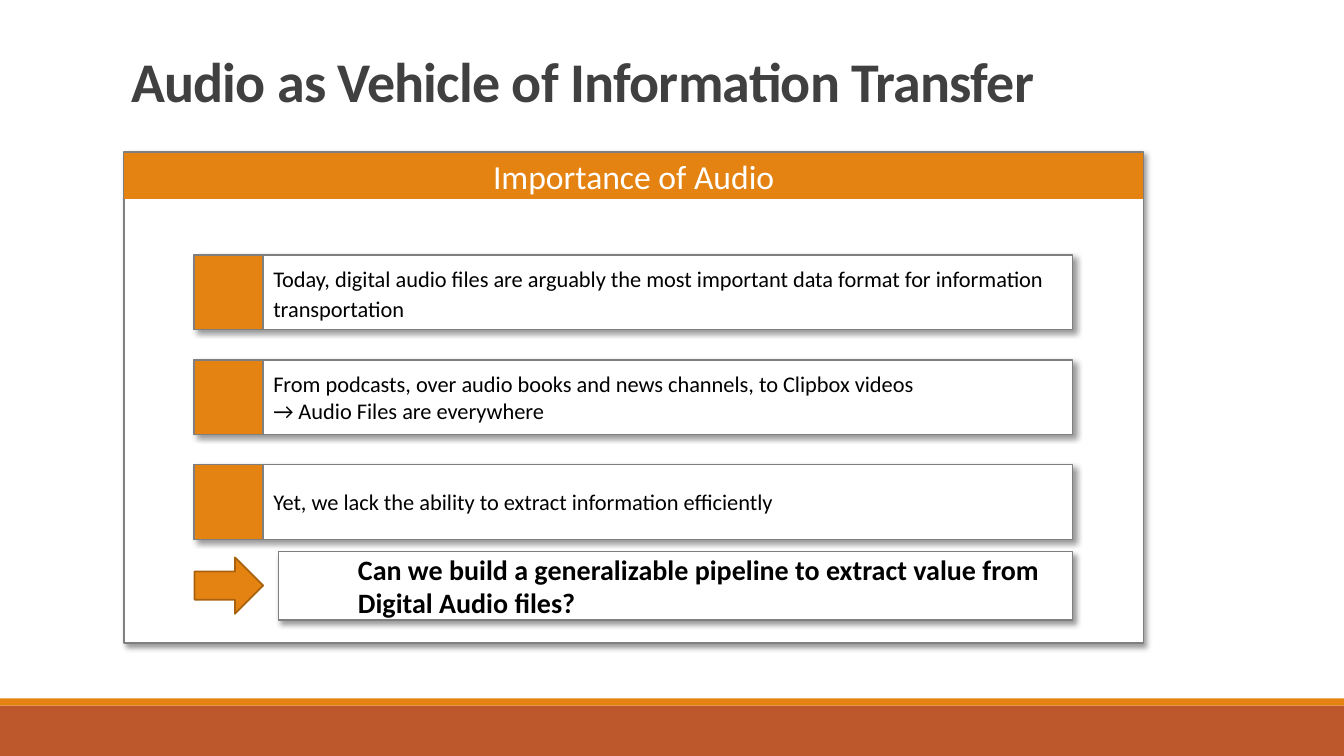
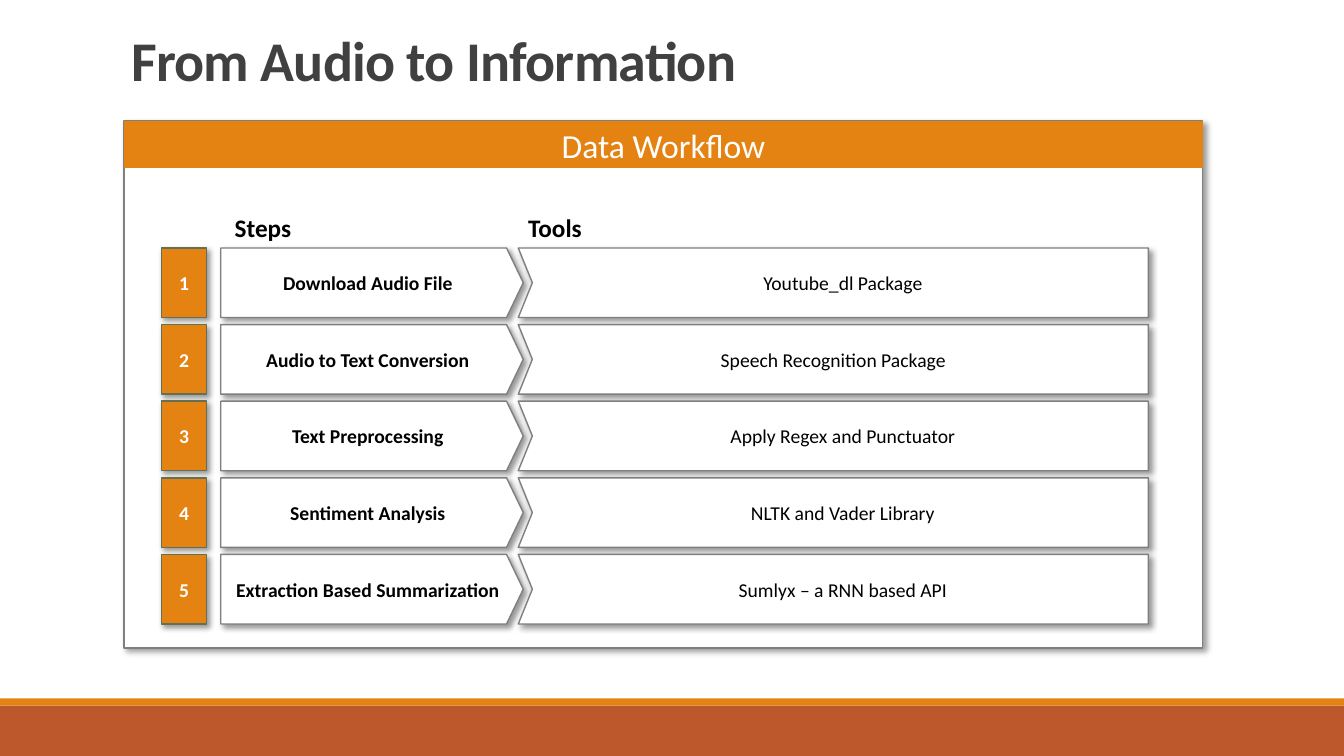
from dataclasses import dataclass

from lxml import etree
from pptx import Presentation, util as u
from pptx.dml.color import RGBColor
from pptx.enum import shapes, text
from pptx.oxml.ns import qn


@dataclass(frozen=True)
class Theme:
    font: str = "Calibri"
    rust: str = "BD582C"
    gold: str = "E48312"
    brown: str = "A9610D"
    moss: str = "637052"
    gray: str = "7F7F7F"
    dark: str = "404040"
    black: str = "000000"
    white: str = "FFFFFF"
    title: int = 40
    head: int = 24
    claim: int = 20
    label: int = 18
    body: int = 16
    small: int = 14


T = Theme()
KIND = shapes.MSO_SHAPE
MID = text.MSO_ANCHOR.MIDDLE
TOP = text.MSO_ANCHOR.TOP
LEFT = text.PP_ALIGN.LEFT
CENTER = text.PP_ALIGN.CENTER
WIDE, HIGH = 13.33, 7.5

POINTS = [
    ("Today, digital audio files are arguably the most important data format "
     "for information transportation", 1.1),
    ("From podcasts, over audio books and news channels, to Clipbox videos\n"
     "→ Audio Files are everywhere", 1),
    ("Yet, we lack the ability to extract information efficiently", 1),
]
CLAIM = "Can we build a generalizable pipeline to extract value from Digital Audio files?"
STEPS = [
    ("Download Audio File", "Youtube_dl Package", 0.19),
    ("Audio to Text Conversion", "Speech Recognition Package", 0),
    ("Text Preprocessing", "Apply Regex and Punctuator", 0.19),
    ("Sentiment Analysis", "NLTK and Vader Library", 0.19),
    ("Extraction Based Summarization", "Sumlyx – a RNN based API", 0.19),
]


def rgb(code):
    return RGBColor.from_string(code)


def write(shape, words, size=T.body, color=T.black, bold=False, align=LEFT,
          anchor=MID, pad=(0.1, 0.05, 0.1, 0.05), lead=1, indent=0, track=0):
    frame = shape.text_frame
    frame.word_wrap = True
    frame.auto_size = text.MSO_AUTO_SIZE.NONE
    frame.vertical_anchor = anchor
    (frame.margin_left, frame.margin_top,
     frame.margin_right, frame.margin_bottom) = map(u.Inches, pad)
    frame.text = words
    for para in frame.paragraphs:
        para.alignment = align
        para.line_spacing = lead
        if indent:
            para._p.get_or_add_pPr().set("marL", str(u.Inches(indent)))
        for run in para.runs:
            font = run.font
            font.name, font.size, font.bold = T.font, u.Pt(size), bold
            font.color.rgb = rgb(color)
            if track:
                run._r.get_or_add_rPr().set("spc", str(int(track * 100)))


def style(shape, fill, line=None, width=1, shade=False):
    shape.shadow.inherit = False
    shape.fill.solid()
    shape.fill.fore_color.rgb = rgb(fill)
    if line:
        shape.line.color.rgb = rgb(line)
        shape.line.width = u.Pt(width)
    else:
        shape.line.fill.background()
    if shade:
        fx = shape.element.spPr.find(qn("a:effectLst"))
        drop = etree.SubElement(fx, qn("a:outerShdw"), blurRad=str(u.Pt(4)),
                                dist=str(u.Pt(3)), dir="2700000", algn="tl",
                                rotWithShape="0")
        tint = etree.SubElement(drop, qn("a:srgbClr"), val=T.black)
        etree.SubElement(tint, qn("a:alpha"), val="40000")
    return shape


def box(slide, at, fill=T.white, line=T.gray, kind=KIND.RECTANGLE, **look):
    shape = slide.shapes.add_shape(kind, *map(u.Inches, at))
    return style(shape, fill, line, **look)


def notch(slide, left, top, wide, high, dent):
    form = slide.shapes.build_freeform(
        u.Inches(left + wide), u.Inches(top), scale=1.0)
    spots = [(left, top), (left + dent, top + high / 2),
             (left, top + high), (left + wide, top + high)]
    form.add_line_segments([(u.Inches(x), u.Inches(y)) for x, y in spots])
    return style(form.convert_to_shape(), T.white, T.gray, shade=True)


def label(slide, words, at, **form):
    write(slide.shapes.add_textbox(*map(u.Inches, at)), words, **form)


def start(deck, name, head, top, panel):
    slide = deck.slides.add_slide(deck.slide_layouts[5])
    title = slide.shapes.title
    title.left, title.top, title.width, title.height = map(
        u.Inches, (1.2, top, 11, 0.68))
    write(title, name, size=T.title, color=T.dark, bold=True,
          anchor=TOP, lead=0.85, track=-0.5)
    left, y, wide, high = panel
    box(slide, panel, shade=True)
    bar = box(slide, (left + 0.01, y + 0.01, wide - 0.02, 0.45), T.gold, T.gold)
    write(bar, head, size=T.head, color=T.white, align=CENTER)
    return slide


def bands(deck, slide):
    tree = deck.slide_master.shapes.element
    for num, (top, high, fill) in enumerate(
            [(7, 0.5, T.rust), (6.93, 0.07, T.gold)]):
        band = box(slide, (0, top, WIDE, high), fill, None)
        band.element.nvSpPr.cNvPr.set("id", str(90 + num))
        tree.insert(2 + num, band.element)


def why(deck):
    slide = start(deck, "Audio as Vehicle of Information Transfer",
                  "Importance of Audio", 0.51, (1.23, 1.51, 10.11, 4.87))
    left, top, step, wide, high, mark = 1.92, 2.53, 1.04, 8.72, 0.74, 0.68
    pad = (0.79, 0.05, 0.08, 0.05)
    for row, (words, lead) in enumerate(POINTS):
        y = top + row * step
        write(box(slide, (left, y, wide, high), shade=True), words,
              pad=pad, lead=lead)
        box(slide, (left + 0.01, y, mark, high), T.gold)
    box(slide, (left + 0.01, 5.53, mark, 0.56), T.gold, T.brown,
        KIND.RIGHT_ARROW, width=1.25)
    shift = 0.84
    card = box(slide, (left + shift, 5.47, wide - shift, 0.68), shade=True)
    write(card, CLAIM, size=T.claim, bold=True, pad=pad)
    return slide


def flow(deck):
    slide = start(deck, "From Audio to Information", "Data Workflow",
                  0.31, (1.23, 1.2, 10.7, 5.23))
    top, step, high = 2.46, 0.76, 0.69
    pad = (0.04,) * 4
    for row, (task, tool, indent) in enumerate(STEPS):
        y = top + row * step
        num = box(slide, (1.6, y, 0.45, high), T.gold, T.moss, shade=True)
        write(num, str(row + 1), size=T.small, color=T.white, bold=True,
              align=CENTER)
        plate = box(slide, (2.19, y, 3, high), kind=KIND.PENTAGON, shade=True)
        plate.adjustments[0] = 0.24
        write(plate, task, size=T.small, bold=True, align=CENTER, pad=pad)
        write(notch(slide, 5.14, y, 6.25, high, 0.14), tool,
              size=T.small, align=CENTER, pad=pad, indent=indent)
    for words, left in [("Steps", 2.23), ("Tools", 5.14)]:
        label(slide, words, (left, 2.06, 2.56, 0.4), size=T.label,
              bold=True, anchor=TOP)


def main():
    deck = Presentation()
    deck.slide_width, deck.slide_height = u.Inches(WIDE), u.Inches(HIGH)
    bands(deck, why(deck))
    flow(deck)
    deck.save("out.pptx")


if __name__ == "__main__":
    main()
